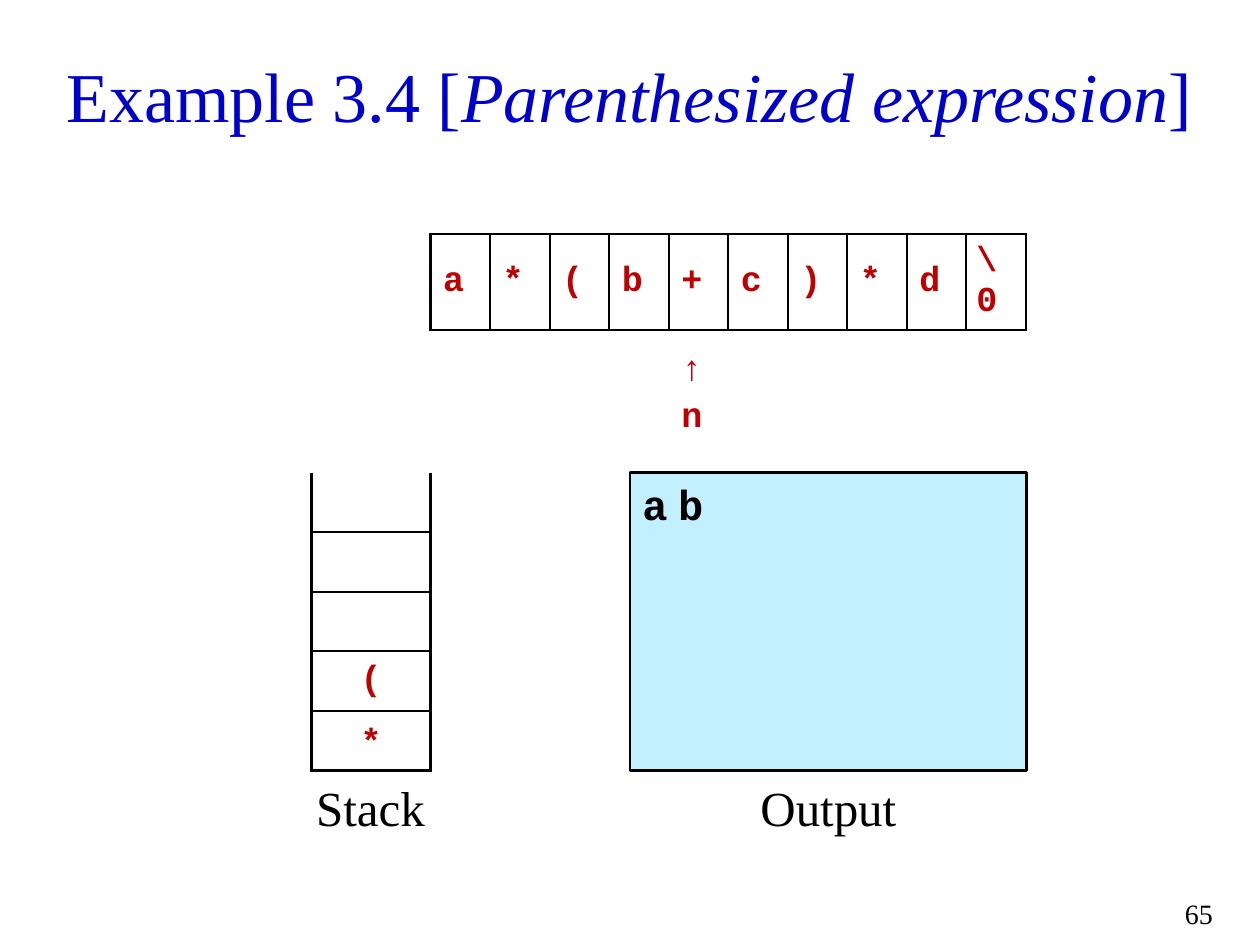
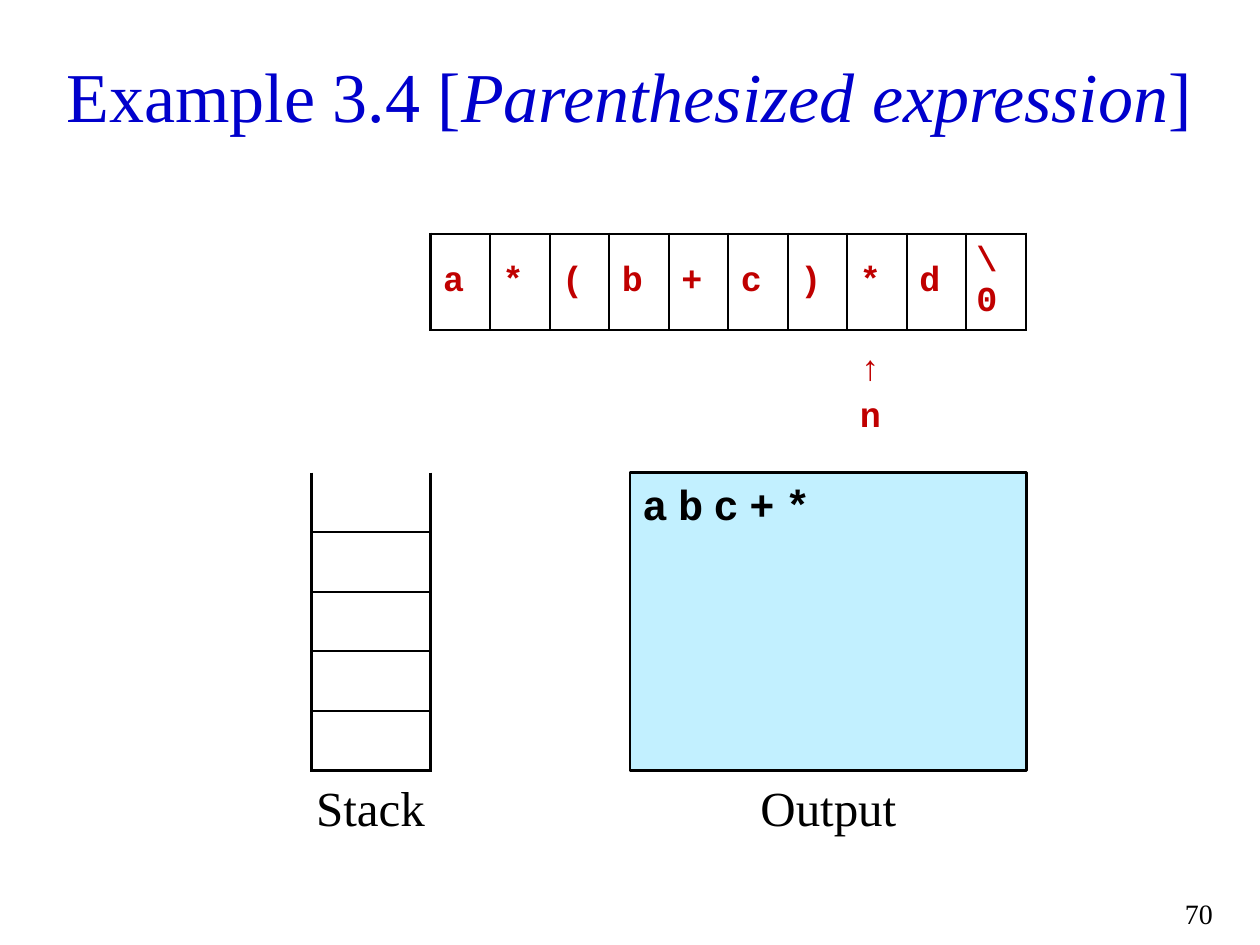
from dataclasses import dataclass
from typing import NamedTuple

from lxml import etree
from pptx import Presentation
from pptx import util as u
from pptx.dml.color import RGBColor
from pptx.enum import shapes, text
from pptx.oxml.ns import qn

LEFT, MID, RIGHT = text.PP_ALIGN.LEFT, text.PP_ALIGN.CENTER, text.PP_ALIGN.RIGHT
TOP, HALF, LOW = (text.MSO_ANCHOR.TOP, text.MSO_ANCHOR.MIDDLE,
                  text.MSO_ANCHOR.BOTTOM)


@dataclass(frozen=True)
class Theme:
    serif: str = "Times New Roman"
    mono: str = "Courier New"
    blue: str = "0000CC"
    red: str = "C00000"
    black: str = "000000"
    pale: str = "C2F0FF"
    head: int = 40
    label: int = 28
    out: int = 24
    code: int = 20
    page: int = 16
    line: float = 1.5


T = Theme()
CELL = 1.2
TAPE = ("a", "*", "(", "b", "+", "c", ")", "*", "d", r"\0")
DEPTH = 5


class Font(NamedTuple):
    face: str
    size: int
    tint: str
    bold: bool = False
    gap: int = 0


class Piece(NamedTuple):
    words: str
    slant: bool = False


class Box(NamedTuple):
    left: float
    top: float
    width: float
    height: float

    def cm(self) -> list:
        return [u.Cm(n) for n in self]


class Label(NamedTuple):
    box: Box
    font: Font
    pieces: tuple
    align: text.PP_ALIGN = MID
    anchor: text.MSO_ANCHOR = TOP


class Step(NamedTuple):
    page: str
    next: int
    stack: tuple
    out: str


HEAD = Font(T.serif, T.head, T.blue)
NAME = Font(T.serif, T.label, T.black)
PAGE = Font(T.serif, T.page, T.black)
CODE = Font(T.mono, T.code, T.red, True)
OUT = Font(T.mono, T.out, T.black, True, 6)

LABELS = (
    Label(Box(0.69, 0.71, 24, 2.39), HEAD,
          (Piece("Example 3.4 ["), Piece("Parenthesized expression", True),
           Piece("]")), anchor=HALF),
    Label(Box(5.87, 15.55, 3.2, 1.6), NAME, (Piece("Stack"),)),
    Label(Box(14.7, 15.55, 4, 1.6), NAME, (Piece("Output"),)),
)

STEPS = (
    Step("65", 4, ("*", "("), "ab"),
    Step("70", 7, (), "abc+*"),
)


def write(para, font: Font, pieces: tuple, align=LEFT) -> None:
    para.alignment = align
    for piece in pieces:
        run = para.add_run()
        run.text = piece.words
        run.font.name = font.face
        run.font.size = u.Pt(font.size)
        run.font.bold = font.bold
        run.font.italic = piece.slant
        run.font.color.rgb = RGBColor.from_string(font.tint)
        if font.gap:
            run._r.get_or_add_rPr().set("spc", str(font.gap * 100))


def label(slide, item: Label) -> None:
    frame = slide.shapes.add_textbox(*item.box.cm()).text_frame
    frame.word_wrap = True
    frame.vertical_anchor = item.anchor
    write(frame.paragraphs[0], item.font, item.pieces, item.align)


def edge(cell, sides: str) -> None:
    props = cell._tc.get_or_add_tcPr()
    for spot, side in enumerate("LRTB"):
        line = etree.Element(qn(f"a:ln{side}"), w=str(u.Pt(T.line)))
        if side in sides:
            fill = etree.SubElement(line, qn("a:solidFill"))
            etree.SubElement(fill, qn("a:srgbClr"), val=T.black)
        else:
            etree.SubElement(line, qn("a:noFill"))
        props.insert(spot, line)


def grid(slide, rows: int, cols: int, box: Box):
    table = slide.shapes.add_table(rows, cols, *box.cm()).table
    table.first_row = table.horz_banding = False
    for cell in table.iter_cells():
        cell.fill.background()
    return table


def fill(cell, mark: str, align=LEFT, anchor=HALF) -> None:
    cell.vertical_anchor = anchor
    write(cell.text_frame.paragraphs[0], CODE, (Piece(mark),), align)


def tape(slide, spot: int) -> None:
    count = len(TAPE)
    table = grid(slide, 3, count, Box(8.68, 4.71, CELL * count, CELL * 3))
    for col, mark in enumerate(TAPE):
        fill(table.cell(0, col), mark)
        for row, sides in enumerate(("LRTB", "T", "")):
            edge(table.cell(row, col), sides)
    last = table.cell(0, count - 1)
    last.margin_left = last.margin_right = u.Cm(0.2)
    arrow = table.cell(1, spot)
    arrow.margin_top, arrow.margin_bottom = u.Cm(0.4), u.Cm(0)
    fill(arrow, "↑")
    fill(table.cell(2, spot), "n", anchor=TOP)


def stack(slide, marks: tuple) -> None:
    table = grid(slide, DEPTH, 1, Box(6.28, 9.53, CELL * 2, CELL * DEPTH))
    for row in range(DEPTH):
        edge(table.cell(row, 0), "LRTB" if row else "LRB")
    for level, mark in enumerate(marks):
        fill(table.cell(DEPTH - 1 - level, 0), mark, MID,
             HALF if level else LOW)


def output(slide, words: str) -> None:
    box = Box(12.7, 9.53, 8, CELL * DEPTH)
    shape = slide.shapes.add_shape(shapes.MSO_SHAPE.RECTANGLE, *box.cm())
    shape.shadow.inherit = False
    shape.fill.solid()
    shape.fill.fore_color.rgb = RGBColor.from_string(T.pale)
    shape.line.color.rgb = RGBColor.from_string(T.black)
    shape.line.width = u.Pt(T.line)
    shape.text_frame.word_wrap = True
    shape.text_frame.vertical_anchor = TOP
    write(shape.text_frame.paragraphs[0], OUT, (Piece(words),))


def draw(deck, step: Step) -> None:
    slide = deck.slides.add_slide(deck.slide_layouts[6])
    page = Label(Box(23.1, 17.94, 1.6, 0.8), PAGE, (Piece(step.page),), RIGHT)
    for item in (*LABELS, page):
        label(slide, item)
    stack(slide, step.stack)
    output(slide, step.out)
    tape(slide, step.next)


def main() -> None:
    deck = Presentation()
    deck.slide_width, deck.slide_height = u.Cm(25.4), u.Cm(19.05)
    for step in STEPS:
        draw(deck, step)
    deck.save("out.pptx")


if __name__ == "__main__":
    main()
